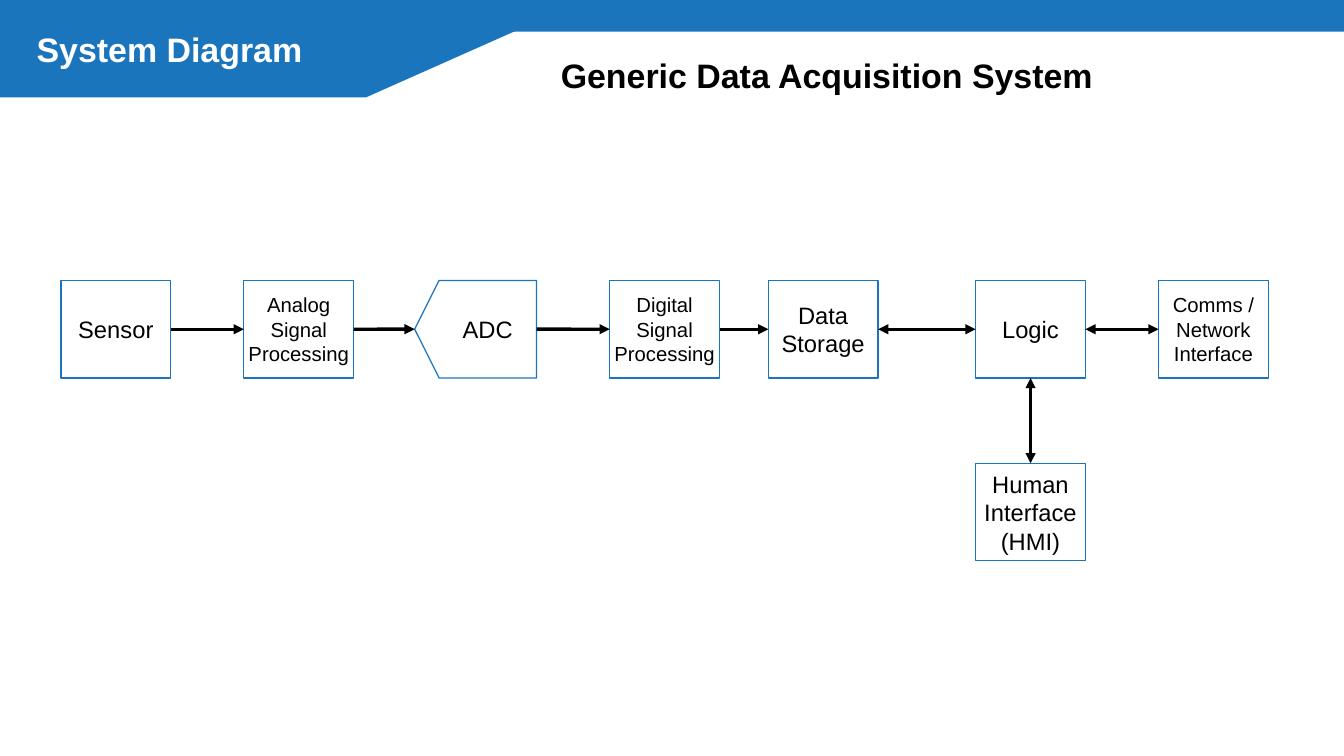
from dataclasses import dataclass
from itertools import pairwise

from lxml.etree import SubElement
from pptx import Presentation
from pptx.dml.color import RGBColor
from pptx.enum.shapes import MSO_CONNECTOR, MSO_SHAPE
from pptx.enum.text import MSO_ANCHOR, MSO_AUTO_SIZE, PP_ALIGN
from pptx.oxml.ns import qn
from pptx.util import Inches, Pt


@dataclass(frozen=True)
class Theme:
    font: str = "Arial"
    blue: RGBColor = RGBColor(0x1B, 0x75, 0xBC)
    black: RGBColor = RGBColor(0, 0, 0)
    white: RGBColor = RGBColor(255, 255, 255)
    heading_size: Pt = Pt(20)
    block_size: Pt = Pt(14)
    small_block_size: Pt = Pt(12)
    hairline: Pt = Pt(0)


THEME = Theme()
BLOCK_WIDTH, BLOCK_HEIGHT = 0.9, 0.8
ROW_TOP, HMI_TOP = 2.3, 3.8
ADC_LEFT, ADC_WIDTH = 3.4, 1
TOP, LEFT, BOTTOM, RIGHT = range(4)

# Label, left edge and type size of the rectangular blocks in the main row
ROW_BLOCKS = [
    ("Sensor", 0.5, THEME.block_size),
    ("Analog\nSignal\nProcessing", 2, THEME.small_block_size),
    ("Digital\nSignal\nProcessing", 5, THEME.small_block_size),
    ("Data\nStorage", 6.3, THEME.block_size),
    ("Logic", 8, THEME.block_size),
    ("Comms /\nNetwork\nInterface", 9.5, THEME.small_block_size),
]


def place(shape, left, top, width, height):
    shape.left, shape.top = Inches(left), Inches(top)
    shape.width, shape.height = Inches(width), Inches(height)


def write_text(shape, text, size, color, bold=False, align=PP_ALIGN.LEFT, wrap=True):
    frame = shape.text_frame
    frame.text = text
    frame.word_wrap = wrap
    frame.auto_size = MSO_AUTO_SIZE.NONE
    frame.vertical_anchor = MSO_ANCHOR.MIDDLE
    for paragraph in frame.paragraphs:
        paragraph.alignment = align
        for run in paragraph.runs:
            run.font.name = THEME.font
            run.font.size = size
            run.font.bold = bold
            run.font.color.rgb = color


def add_label(slide, text, bounds, size, **style):
    box = slide.shapes.add_textbox(*map(Inches, bounds))
    write_text(box, text, size, THEME.black, **style)


def add_banner_part(slide, kind, *bounds):
    part = slide.shapes.add_shape(kind, *map(Inches, bounds))
    part.shadow.inherit = False
    part.fill.solid()
    part.fill.fore_color.rgb = THEME.blue
    part.line.fill.background()
    return part


def add_banner(slide, slide_width):
    add_banner_part(slide, MSO_SHAPE.RECTANGLE, 0, 0, 3, 0.8)
    slope = add_banner_part(slide, MSO_SHAPE.RIGHT_TRIANGLE, 3, 0, 1.8, 0.8)
    slope.element.spPr.find(qn("a:xfrm")).set("flipV", "1")
    add_banner_part(slide, MSO_SHAPE.RECTANGLE, 4.1, 0, slide_width - 4.1, 0.26)


def add_title(slide, text):
    """Fill the title placeholder and bring it in front of the banner."""
    title = slide.shapes.title
    place(title, 0.2, 0, 3.4, 0.8)
    write_text(title, text, THEME.heading_size, THEME.white, bold=True)
    slide.shapes.element.append(title.element)


def add_outline(slide, kind, left, top, width, height):
    shape = slide.shapes.add_shape(kind, *map(Inches, (left, top, width, height)))
    shape.shadow.inherit = False
    shape.fill.background()
    shape.line.color.rgb = THEME.blue
    shape.line.width = THEME.hairline
    return shape


def add_block(slide, text, left, top, size):
    block = add_outline(slide, MSO_SHAPE.RECTANGLE, left, top, BLOCK_WIDTH, BLOCK_HEIGHT)
    write_text(block, text, size, THEME.black, align=PP_ALIGN.CENTER, wrap=False)
    return block


def add_converter(slide):
    """Draw the ADC: an off-page connector turned to point left, with an upright label."""
    add_label(slide, "ADC", (3.7, ROW_TOP, 0.6, BLOCK_HEIGHT), THEME.block_size,
              align=PP_ALIGN.CENTER, wrap=False)
    offset = (ADC_WIDTH - BLOCK_HEIGHT) / 2
    converter = add_outline(slide, MSO_SHAPE.FLOWCHART_OFFPAGE_CONNECTOR,
                            ADC_LEFT + offset, ROW_TOP - offset, BLOCK_HEIGHT, ADC_WIDTH)
    converter.rotation = 90
    return converter


def side_middle(shape, side):
    """Return the middle of a side as it appears after any quarter turn."""
    width, height = shape.width, shape.height
    if shape.rotation == 90:
        width, height = height, width
    step_x, step_y = {TOP: (0, -1), LEFT: (-1, 0), BOTTOM: (0, 1), RIGHT: (1, 0)}[side]
    return (shape.left + (shape.width + step_x * width) // 2,
            shape.top + (shape.height + step_y * height) // 2)


def add_arrow(slide, source, source_side, target, target_side, two_way=False):
    arrow = slide.shapes.add_connector(
        MSO_CONNECTOR.STRAIGHT, *side_middle(source, source_side),
        *side_middle(target, target_side))
    if not source.rotation:
        arrow.begin_connect(source, source_side)
    if not target.rotation:
        arrow.end_connect(target, target_side)
    arrow.line.color.rgb = THEME.black
    arrow.line.width = THEME.hairline
    properties = arrow.element.spPr
    line = properties.find(qn("a:ln"))
    if two_way:
        SubElement(line, qn("a:headEnd"), type="triangle")
    SubElement(line, qn("a:tailEnd"), type="triangle")
    SubElement(properties, qn("a:effectLst"))


def add_diagram(slide):
    row = [add_block(slide, text, left, ROW_TOP, size) for text, left, size in ROW_BLOCKS]
    row.insert(2, add_converter(slide))
    storage, logic = row[4:6]
    hmi = add_block(slide, "Human\nInterface\n(HMI)", 8, HMI_TOP, THEME.block_size)
    for source, target in pairwise(row):
        add_arrow(slide, source, RIGHT, target, LEFT, two_way=source in (storage, logic))
    add_arrow(slide, hmi, TOP, logic, BOTTOM, two_way=True)


def main():
    presentation = Presentation()
    presentation.slide_width, presentation.slide_height = Inches(11.02), Inches(6.2)
    slide = presentation.slides.add_slide(presentation.slide_layouts.get_by_name("Title Only"))
    add_banner(slide, 11.02)
    add_title(slide, "System Diagram")
    add_diagram(slide)
    add_label(slide, "Generic Data Acquisition System", (4.5, 0.3, 5.6, 0.63),
              THEME.heading_size, bold=True)
    presentation.save("out.pptx")


if __name__ == "__main__":
    main()
